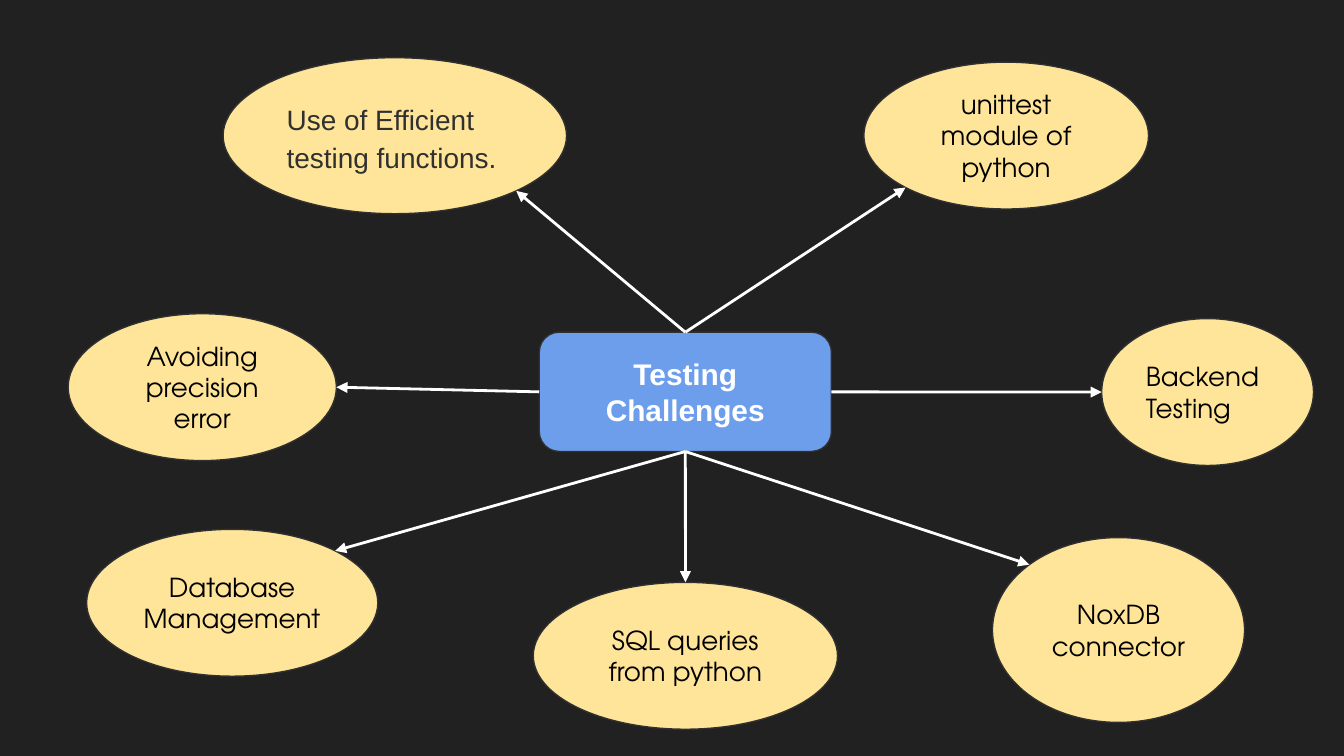
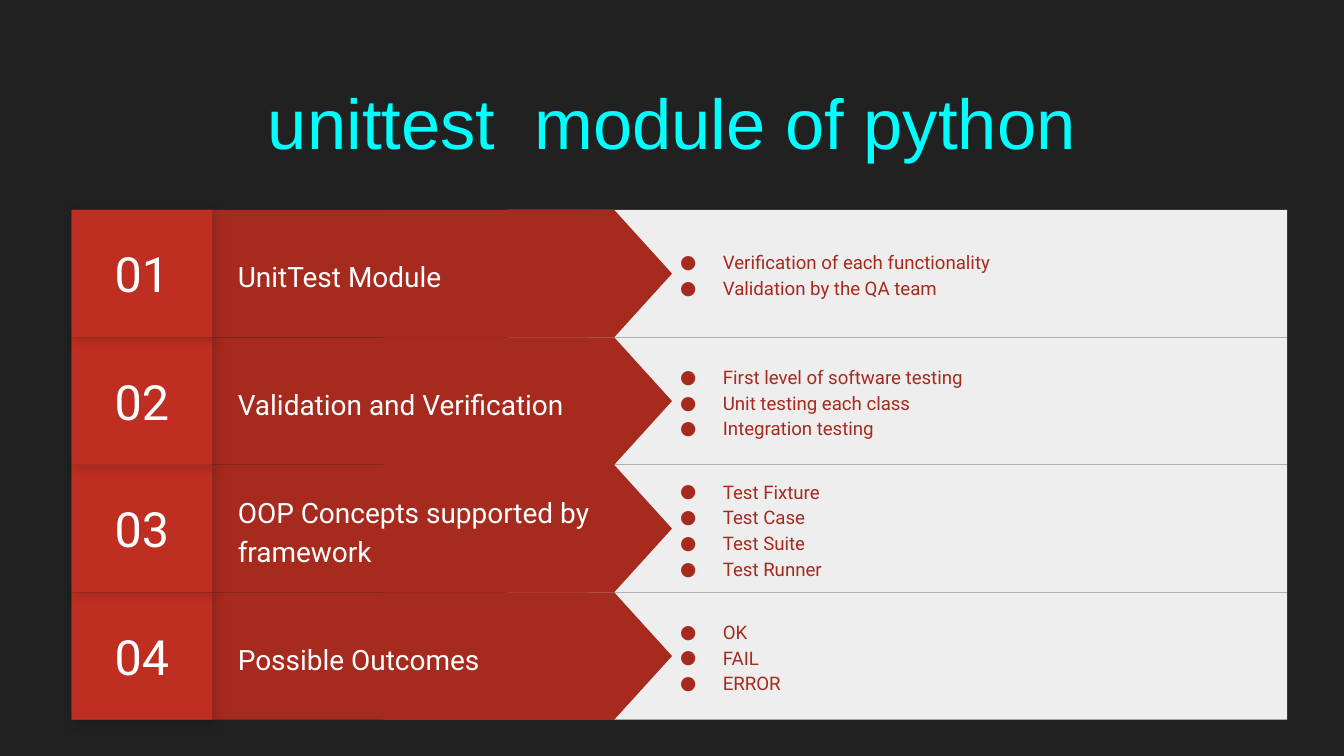
from dataclasses import dataclass
from math import sqrt

from lxml import etree
from pptx import Presentation
from pptx.dml.color import RGBColor
from pptx.enum.shapes import MSO_CONNECTOR, MSO_SHAPE
from pptx.enum.text import MSO_ANCHOR, PP_ALIGN
from pptx.oxml import parse_xml
from pptx.oxml.ns import nsdecls, qn
from pptx.util import Pt

LEFT, CENTER = PP_ALIGN.LEFT, PP_ALIGN.CENTER
TOP, MIDDLE = MSO_ANCHOR.TOP, MSO_ANCHOR.MIDDLE
RECTANGLE, ROUNDED, ELLIPSE = MSO_SHAPE.RECTANGLE, MSO_SHAPE.ROUNDED_RECTANGLE, MSO_SHAPE.OVAL
PENTAGON = MSO_SHAPE.FLOWCHART_OFFPAGE_CONNECTOR
STRAIGHT = MSO_CONNECTOR.STRAIGHT


@dataclass(frozen=True)
class TextStyle:
    font: str
    size: float
    color: str
    bold: bool = False
    align: PP_ALIGN = LEFT
    spacing: float = 1.0
    after: float = 0


@dataclass(frozen=True)
class Theme:
    background: str = "212121"
    hub: str = "6D9EEB"
    bubble: str = "FFE599"
    outline: str = "303030"
    arrow: str = "FFFFFF"
    panel: str = "EEEEEE"
    band: str = "A72A1E"
    number: str = "BE2F22"
    number_base: str = "B02C20"
    inset: float = 7.2
    title: TextStyle = TextStyle("Arial", 37.8, "00FFFF", align=CENTER)
    hub_text: TextStyle = TextStyle("Arial", 16, "FFFFFF", bold=True, align=CENTER)
    lead_text: TextStyle = TextStyle("Arial", 15, "303030", spacing=1.15, after=12)
    bubble_text: TextStyle = TextStyle("TeX Gyre Adventor", 14, "000000", align=CENTER)
    bubble_left: TextStyle = TextStyle("TeX Gyre Adventor", 14, "000000")
    row_title: TextStyle = TextStyle("Roboto", 15, "FFFFFF", spacing=1.15)
    row_number: TextStyle = TextStyle("Roboto", 26, "FFFFFF", align=CENTER)
    bullet: TextStyle = TextStyle("Roboto", 10, "A72A1E", spacing=1.15)


THEME = Theme()

HUB_BOX = (288.9, 178, 156.5, 63.9)
HUB_SITES = {"top": 0, "left": 1, "bottom": 2, "right": 3}
BUBBLES = [
    ((119.5, 30.9, 184, 83.6), ["Use of Efficient testing functions."], THEME.lead_text, "top", (1, 1)),
    ((590.2, 170.7, 113.5, 78.7), ["Backend Testing"], THEME.bubble_left, "right", (-1, 0)),
    ((531.7, 288, 135, 99), ["NoxDB", "connector"], THEME.bubble_text, "bottom", (-1, -1)),
    ((285.7, 312, 163, 78.7), ["SQL queries from python"], THEME.bubble_text, "bottom", (0, -1)),
    ((46.4, 283.6, 156, 78.7), ["Database Management"], THEME.bubble_text, "bottom", (1, -1)),
    ((462.8, 33.3, 152.5, 78.7), ["unittest module of python"], THEME.bubble_text, "top", (-1, 1)),
    ((36.5, 168.1, 143.7, 78.7), ["Avoiding precision error"], THEME.bubble_text, "left", (1, 0)),
]

TABLE_BOX = (38.4, 112.4, 651.2, 273.2)
ROWS = [
    ("UnitTest Module", ["Verification of each functionality", "Validation by the QA team"]),
    ("Validation and Verification",
     ["First level of software testing", "Unit testing each class", "Integration testing"]),
    ("OOP Concepts supported by framework",
     ["Test Fixture", "Test Case", "Test Suite", "Test Runner"]),
    ("Possible Outcomes", ["OK", "FAIL", "ERROR"]),
]


def points(box):
    return [Pt(length) for length in box]


def rgb(color):
    return RGBColor.from_string(color)


def write(shape, lines, style, anchor=MIDDLE):
    frame = shape.text_frame
    frame.word_wrap = True
    frame.vertical_anchor = anchor
    frame.margin_left = frame.margin_right = Pt(THEME.inset)
    frame.margin_top = frame.margin_bottom = Pt(THEME.inset)
    frame.text = "\n".join(lines)
    for para in frame.paragraphs:
        para.alignment = style.align
        para.line_spacing = style.spacing
        para.space_after = Pt(style.after)
        for span in para.runs:
            span.font.name = style.font
            span.font.size = Pt(style.size)
            span.font.bold = style.bold
            span.font.color.rgb = rgb(style.color)


def add_text(shapes, box, lines, style, anchor=MIDDLE):
    text_box = shapes.add_textbox(*points(box))
    write(text_box, lines, style, anchor)
    return text_box


def add_block(shapes, kind, box, fill, outline=None):
    block = shapes.add_shape(kind, *points(box))
    block.shadow.inherit = False
    block.fill.solid()
    block.fill.fore_color.rgb = rgb(fill)
    if outline:
        block.line.color.rgb = rgb(outline)
        block.line.width = Pt(0.75)
    else:
        block.line.fill.background()
    return block


def cast_shadow(block):
    effects = block._element.spPr.find(qn("a:effectLst"))
    effects.append(parse_xml(
        f'<a:outerShdw {nsdecls("a")} blurRad="{Pt(5.6)}" dist="{Pt(2.2)}" dir="2700000" '
        'algn="bl" rotWithShape="0"><a:srgbClr val="000000"><a:alpha val="17000"/>'
        '</a:srgbClr></a:outerShdw>'))


def add_bullets(text_box, style):
    for para in text_box.text_frame.paragraphs:
        properties = para._p.get_or_add_pPr()
        properties.set("marL", str(Pt(36)))
        properties.set("indent", str(Pt(-22.9)))
        bullet_color = etree.SubElement(properties, qn("a:buClr"))
        etree.SubElement(bullet_color, qn("a:srgbClr"), val=style.color)
        etree.SubElement(properties, qn("a:buFont"), typeface=style.font)
        etree.SubElement(properties, qn("a:buChar"), char="●")


def ellipse_point(box, direction):
    left, top, width, height = box
    across, down = direction
    reach = sqrt(0.5) if across and down else 1
    return (left + width / 2 * (1 + across * reach),
            top + height / 2 * (1 + down * reach))


def add_arrow(shapes, hub, side, end):
    x, y = points(end)
    arrow = shapes.add_connector(STRAIGHT, hub.left, hub.top, x, y)
    arrow.begin_connect(hub, HUB_SITES[side])
    arrow.line.color.rgb = rgb(THEME.arrow)
    arrow.line.width = Pt(1.5)
    line = arrow.line._get_or_add_ln()
    etree.SubElement(line, qn("a:tailEnd"), type="triangle")
    etree.SubElement(arrow._element.spPr, qn("a:effectLst"))


def add_page(deck):
    page = deck.slides.add_slide(deck.slide_layouts[6])
    page.background.fill.solid()
    page.background.fill.fore_color.rgb = rgb(THEME.background)
    return page


def build_challenges(page, hub_box, bubbles):
    hub = add_block(page.shapes, ROUNDED, hub_box, THEME.hub, THEME.outline)
    write(hub, ["Testing Challenges"], THEME.hub_text)
    for box, lines, style, _, _ in bubbles:
        bubble = add_block(page.shapes, ELLIPSE, box, THEME.bubble, THEME.outline)
        write(bubble, lines, style)
    for box, _, _, side, direction in bubbles:
        add_arrow(page.shapes, hub, side, ellipse_point(box, direction))


def build_row(page, box, number, heading, items):
    left, top, width, height = box
    number_width, band_width, tip_length = 75.4, 201.6, 154.8
    band_left = left + number_width
    panel_left = left + 234
    shapes = page.shapes.add_group_shape().shapes

    add_block(shapes, RECTANGLE, (panel_left, top, width - 234, height), THEME.panel)
    add_block(shapes, RECTANGLE, (band_left, top, band_width, height), THEME.band)
    tip_center = left + 244.2
    tip = add_block(shapes, PENTAGON,
                    (tip_center - height / 2, top + (height - tip_length) / 2, height, tip_length),
                    THEME.band)
    tip.rotation = 270
    add_text(shapes, (left + 81.9, top + 8.2, 212.4, 52.6), [heading], THEME.row_title)

    number_box = (left, top, number_width, height)
    cast_shadow(add_block(shapes, RECTANGLE, number_box, THEME.number_base))
    write(add_block(shapes, RECTANGLE, number_box, THEME.number),
          [f"{number:02}"], THEME.row_number)
    details = add_text(shapes, (left + 305.8, top, 324.7, height), items, THEME.bullet)
    add_bullets(details, THEME.bullet)


def build_module(page, table_box, rows):
    add_text(page.shapes, (24.5, 35.3, 671, 45.4), ["unittest  module of python"],
             THEME.title, TOP)
    left, top, width, height = table_box
    row_height = height / len(rows)
    for index, (heading, items) in reversed(list(enumerate(rows))):
        row_box = (left, top + index * row_height, width, row_height)
        build_row(page, row_box, index + 1, heading, items)


def main():
    deck = Presentation()
    deck.slide_width, deck.slide_height = Pt(720), Pt(405)
    build_challenges(add_page(deck), HUB_BOX, BUBBLES)
    build_module(add_page(deck), TABLE_BOX, ROWS)
    deck.save("out.pptx")


if __name__ == "__main__":
    main()
